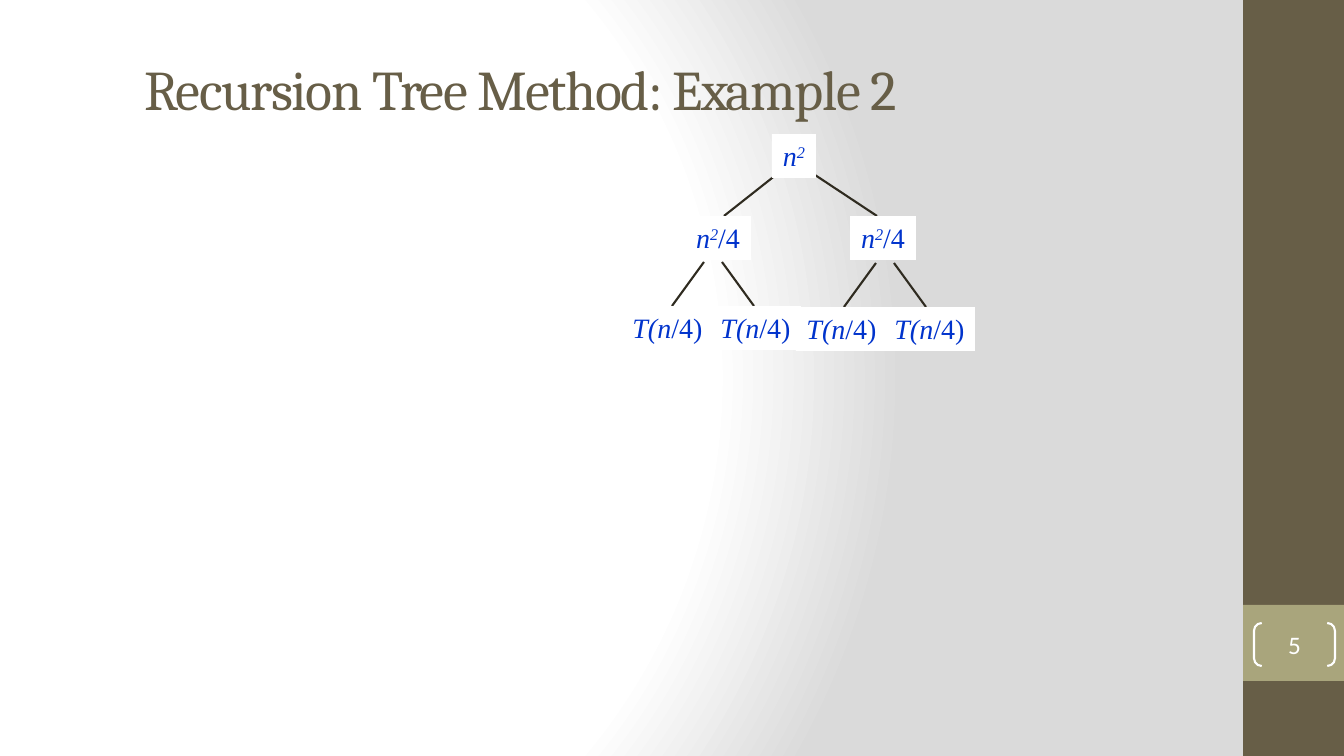
from pptx import Presentation
from pptx.dml.color import RGBColor
from pptx.enum.shapes import MSO_CONNECTOR, MSO_SHAPE
from pptx.enum.text import MSO_ANCHOR, MSO_AUTO_SIZE, PP_ALIGN
from pptx.oxml import parse_xml
from pptx.oxml.ns import nsdecls
from pptx.util import Pt

EMU_PER_PX = 914400 / 100.8
BROWN, OLIVE, WHITE = "675E47", "A9A57C", "FFFFFF"
DARK, BLUE = "2F2B20", "0033CC"


def px(*lengths):
    return [round(length * EMU_PER_PX) for length in lengths]


def color(value):
    return RGBColor.from_string(value)


class TreeSlide:
    def __init__(self, presentation):
        self.slide = presentation.slides.add_slide(presentation.slide_layouts[5])
        self.shapes = self.slide.shapes

    def background(self, stops):
        stop_xml = "".join(
            f'<a:gs pos="{position * 1000}"><a:srgbClr val="{value}"/></a:gs>'
            for position, value in stops
        )
        self.slide.element.cSld.insert(0, parse_xml(
            f'<p:bg {nsdecls("p", "a")}><p:bgPr>'
            f'<a:gradFill rotWithShape="1"><a:gsLst>{stop_xml}</a:gsLst>'
            '<a:path path="circle">'
            '<a:fillToRect l="20000" t="50000" r="100000" b="50000"/>'
            '</a:path></a:gradFill><a:effectLst/></p:bgPr></p:bg>'
        ))

    def style(self, paragraph, name, size, value, align):
        paragraph.alignment = align
        paragraph.font.name = name
        paragraph.font.size = Pt(size)
        paragraph.font.color.rgb = color(value)

    def title(self, text, left, top, width, height):
        title = self.shapes.title
        title.left, title.top, title.width, title.height = px(left, top, width, height)
        frame = title.text_frame
        frame.text = text
        frame.word_wrap = True
        frame.auto_size = MSO_AUTO_SIZE.NONE
        frame.vertical_anchor = MSO_ANCHOR.MIDDLE
        paragraph = frame.paragraphs[0]
        self.style(paragraph, "Cambria", 40, BROWN, PP_ALIGN.LEFT)
        paragraph.runs[0].font._element.set("spc", "-100")

    def box(self, left, top, width, height, fill, kind=MSO_SHAPE.RECTANGLE):
        shape = self.shapes.add_shape(kind, *px(left, top, width, height))
        shape.shadow.inherit = False
        if fill:
            shape.fill.solid()
            shape.fill.fore_color.rgb = color(fill)
        else:
            shape.fill.background()
        shape.line.fill.background()
        return shape

    def page_number(self, text, left, top, width, height):
        bracket = self.box(left, top, width, height, None, MSO_SHAPE.DOUBLE_BRACKET)
        bracket.adjustments[0] = 0.18
        bracket.line.color.rgb = color(WHITE)
        bracket.line.width = Pt(1.5)
        frame = bracket.text_frame
        frame.margin_left = frame.margin_right = 0
        frame.margin_top = frame.margin_bottom = 0
        frame.vertical_anchor = MSO_ANCHOR.MIDDLE
        frame.text = text
        self.style(frame.paragraphs[0], "Calibri", 18, WHITE, PP_ALIGN.CENTER)

    def edge(self, *ends):
        connector = self.shapes.add_connector(MSO_CONNECTOR.STRAIGHT, *px(*ends))
        connector.line.color.rgb = color(DARK)
        connector.line.width = Pt(1.5)
        connector._element.spPr.append(parse_xml(f'<a:effectLst {nsdecls("a")}/>'))

    def node(self, left, top, width, italic, power="", plain=""):
        frame = self.box(left, top, width, 44, WHITE).text_frame
        frame.word_wrap = False
        frame.auto_size = MSO_AUTO_SIZE.SHAPE_TO_FIT_TEXT
        frame.vertical_anchor = MSO_ANCHOR.TOP
        paragraph = frame.paragraphs[0]
        self.style(paragraph, "Times New Roman", 20, BLUE, PP_ALIGN.CENTER)
        for text, slanted, baseline in (
            (italic, True, 0), (power, True, 30000), (plain, False, 0)
        ):
            if text:
                run = paragraph.add_run()
                run.text = text
                run.font.italic = slanted
                if baseline:
                    run.font._element.set("baseline", str(baseline))


def main():
    presentation = Presentation()
    presentation.slide_width, presentation.slide_height = px(1344, 756)
    tree = TreeSlide(presentation)
    tree.background([(0, WHITE), (75, WHITE), (100, "DADADA")])
    tree.box(1243, 0, 101, 756, BROWN)
    tree.box(1243, 605, 101, 76, OLIVE)
    tree.title("Recursion Tree Method: Example 2", 134, 42, 998, 93)
    tree.page_number("5", 1254, 623, 81, 43)

    tree.edge(781, 171, 724, 216)
    tree.edge(809, 171, 877, 216)
    tree.node(772, 134, 44, "n", "2")
    for parent_left, edge_left, leaf_left, drop in (
        (685, 672, 622, 0), (850, 844, 796, 1)
    ):
        tree.node(parent_left, 216, 66, "n", "2", "/4")
        edge_top, leaf_top = 262 + drop, 306 + drop
        tree.edge(edge_left + 32, edge_top, edge_left, leaf_top)
        tree.edge(edge_left + 50, edge_top, edge_left + 82, leaf_top)
        for leaf in range(2):
            tree.node(leaf_left + 88 * leaf, leaf_top, 91, "T(n", plain="/4)")

    presentation.save("out.pptx")


if __name__ == "__main__":
    main()
